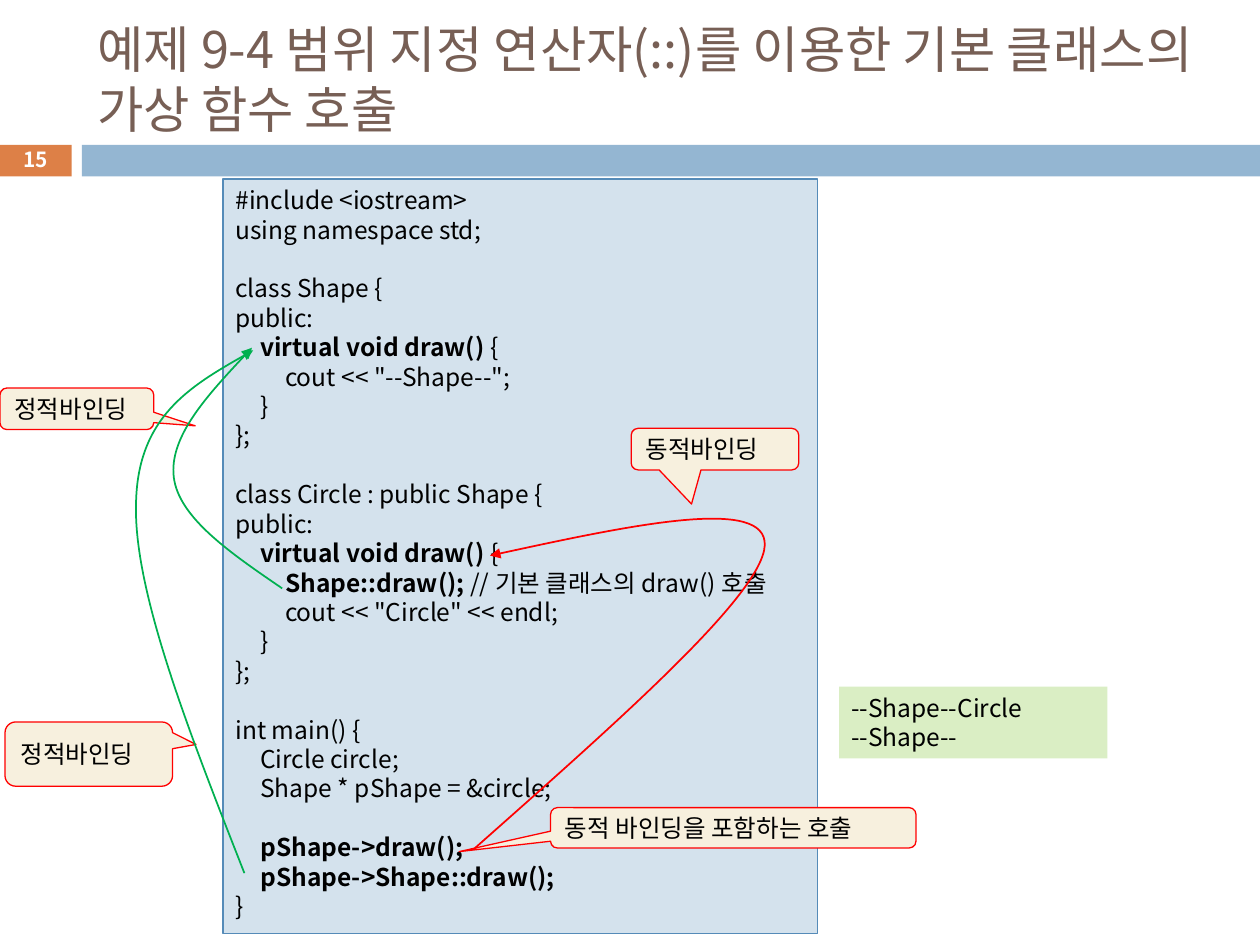
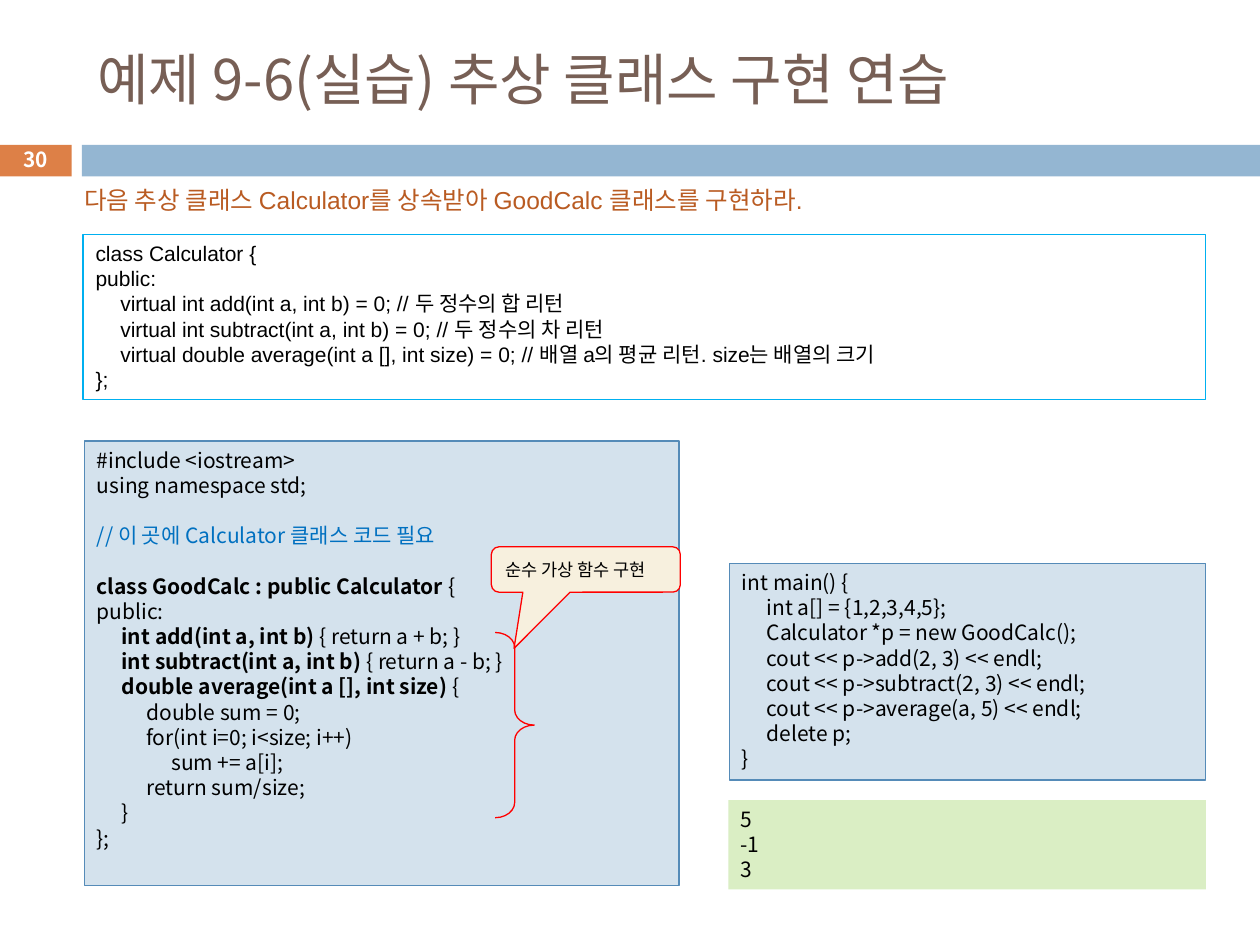
from lxml import etree
from pptx import Presentation
from pptx.dml.color import RGBColor
from pptx.enum.shapes import MSO_SHAPE
from pptx.enum.text import MSO_ANCHOR, MSO_AUTO_SIZE, PP_ALIGN
from pptx.oxml.ns import qn
from pptx.util import Cm, Inches, Pt

RECT = MSO_SHAPE.RECTANGLE
CALLOUT = MSO_SHAPE.ROUNDED_RECTANGULAR_CALLOUT
BRACE = MSO_SHAPE.RIGHT_BRACE
TOP, MIDDLE = MSO_ANCHOR.TOP, MSO_ANCHOR.MIDDLE
LEFT, CENTER = PP_ALIGN.LEFT, PP_ALIGN.CENTER


class Theme:
    font, latin = "Noto Sans CJK KR", "Arial"
    black, white, title = "000000", "FFFFFF", "775F55"
    orange, band, task = "DD8047", "94B6D2", "B95B22"
    code, code_line, output = "D4E2ED", "558BB8", "DAEEC4"
    note, red, green = "F7F0DE", "FF0000", "00B050"
    cyan, blue = "00B0F0", "0070C0"
    body, small, tiny, number = 14, 12, 10, 11.9
    line_height = 1.2
    tab = Cm(0.5)


prs = Presentation()
prs.slide_width, prs.slide_height = Inches(10), Inches(7.5)
COL, ROW = prs.slide_width / 100, prs.slide_height / 75
layout = prs.slide_layouts[5]


def write(tf, text, size, color=Theme.black, font=Theme.font, anchor=TOP, align=LEFT):
    tf.word_wrap = True
    tf.auto_size = MSO_AUTO_SIZE.NONE
    tf.vertical_anchor = anchor
    for i, line in enumerate(text.split("\n")):
        p = tf.add_paragraph() if i else tf.paragraphs[0]
        tabs = etree.SubElement(p._p.get_or_add_pPr(), qn("a:tabLst"))
        for stop in range(1, 4):
            etree.SubElement(tabs, qn("a:tab"), pos=str(stop * Theme.tab), algn="l")
        p.alignment = align
        p.line_spacing = Pt(size * Theme.line_height)
        if not line:
            etree.SubElement(p._p, qn("a:endParaRPr"), sz=str(size * 100))
            continue
        for j, part in enumerate(line.split("**")):
            if part:
                r = p.add_run()
                r.text = part
                r.font.size = Pt(size)
                r.font.bold = j % 2 == 1
                r.font.name = font
                r.font.color.rgb = RGBColor.from_string(color)
                etree.SubElement(r._r.get_or_add_rPr(), qn("a:ea"), typeface=Theme.font)


def box(s, kind, at, fill=None, line=None, adj=()):
    x, y, w, h = at
    sp = s.shapes.add_shape(kind, int(x * COL), int(y * ROW), int(w * COL), int(h * ROW))
    sp.shadow.inherit = False
    for i, value in enumerate(adj):
        sp.adjustments[i] = value
    if fill:
        sp.fill.solid()
        sp.fill.fore_color.rgb = RGBColor.from_string(fill)
    else:
        sp.fill.background()
    if line:
        sp.line.color.rgb = RGBColor.from_string(line)
        sp.line.width = Pt(0.75)
    else:
        sp.line.fill.background()
    return sp


slides = []
for title, size, number in (
    ("예제 9-4 범위 지정 연산자(::)를 이용한 기본 클래스의 가상 함수 호출", 28.8, "15"),
    ("예제 9-6(실습) 추상 클래스 구현 연습", 32, "30"),
):
    s = prs.slides.add_slide(layout)
    sp = s.shapes.title
    sp.left, sp.top = int(6.7 * COL), int(2.5 * ROW)
    sp.width, sp.height = int(89.2 * COL), int(7.4 * ROW)
    write(sp.text_frame, title, size, Theme.title, anchor=MIDDLE)
    sp = box(s, RECT, (0, 11.3, 5.7, 2.7))
    write(sp.text_frame, f"**{number}**", Theme.number, Theme.white, anchor=MIDDLE, align=CENTER)
    slides.append(s)
binding, calculator = slides

for at, color in (((0, 11.5, 5.7, 2.5), Theme.orange), ((6.5, 11.5, 93.5, 2.5), Theme.band)):
    layout.shapes.element.append(box(binding, RECT, at, color).element)

binding_code = """#include <iostream>
using namespace std;

class Shape {
public:
\t**virtual void draw() **{
\t\tcout << "--Shape--";
\t}
};

class Circle : public Shape {
public:
\t**virtual void draw() **{
\t\t**Shape::draw(); **// 기본 클래스의 draw() 호출
\t\tcout << "Circle" << endl;
\t}
};

int main() {
\tCircle circle;
\tShape * pShape = &circle;

\t**pShape->draw();**
\t**pShape->Shape::draw();**
}"""

good_calc_code = """#include <iostream>
using namespace std;

// 이 곳에 Calculator 클래스 코드 필요

**class GoodCalc : public Calculator **{
public:
\t**int add(int a, int b) **{ return a + b; }
\t**int subtract(int a, int b) **{ return a - b; }
\t**double average(int a [], int size) **{
\t\tdouble sum = 0;
\t\tfor(int i=0; i<size; i++)
\t\t\tsum += a[i];
\t\treturn sum/size;
\t}
};"""

main_code = """int main() {
\tint a[] = {1,2,3,4,5};
\tCalculator *p = new GoodCalc();
\tcout << p->add(2, 3) << endl;
\tcout << p->subtract(2, 3) << endl;
\tcout << p->average(a, 5) << endl;
\tdelete p;
}"""

abstract_code = """class Calculator {
public:
\tvirtual int add(int a, int b) = 0; // 두 정수의 합 리턴
\tvirtual int subtract(int a, int b) = 0; // 두 정수의 차 리턴
\tvirtual double average(int a [], int size) = 0; // 배열 a의 평균 리턴. size는 배열의 크기
};"""

task = "다음 추상 클래스 Calculator를 상속받아 GoodCalc 클래스를 구현하라."

panels = {}
for name, s, at, fill, line, text, size, color, font in (
    ("binding", binding, (17.7, 14.2, 47.2, 59.9), Theme.code, Theme.code_line,
     binding_code, Theme.body, Theme.black, Theme.font),
    ("binding output", binding, (66.6, 54.5, 21.3, 5.7), Theme.output, None,
     "--Shape--Circle\n--Shape--", Theme.body, Theme.black, Theme.font),
    ("good calc", calculator, (6.7, 35, 47.2, 35.3), Theme.code, Theme.code_line,
     good_calc_code, Theme.small, Theme.black, Theme.font),
    ("main", calculator, (57.9, 44.7, 37.8, 17.2), Theme.code, Theme.code_line,
     main_code, Theme.small, Theme.black, Theme.font),
    ("calculator output", calculator, (57.8, 63.5, 37.9, 7.1), Theme.output, None,
     "5\n-1\n3", Theme.small, Theme.black, Theme.font),
    ("abstract", calculator, (6.6, 18.6, 89.1, 13.1), None, Theme.cyan,
     abstract_code, Theme.small, Theme.black, Theme.latin),
    ("task", calculator, (5.7, 14.2, 64, 3.4), None, None,
     task, Theme.body, Theme.task, Theme.latin),
):
    panels[name] = box(s, RECT, at, fill, line)
    write(panels[name].text_frame, text, size, color, font)

todo = panels["good calc"].text_frame.paragraphs[3].runs[0]
todo.font.color.rgb = RGBColor.from_string(Theme.blue)

for s, at, pointer, text, size in (
    (binding, (50.1, 34, 13.3, 3.3), (-0.14, 1.32), "동적바인딩", Theme.body),
    (binding, (43.7, 64.1, 29, 3.2), (-0.75, 0.59), "동적 바인딩을 포함하는 호출", Theme.body),
    (binding, (0.4, 57.3, 13.3, 5.1), (0.64, -0.15), "정적바인딩", Theme.body),
    (binding, (0, 30.8, 12.2, 3.3), (0.77, 0.41), "정적바인딩", Theme.body),
    (calculator, (39, 43.4, 15, 3.6), (-0.38, 1.74), "순수 가상 함수 구현", Theme.tiny),
):
    sp = box(s, CALLOUT, at, Theme.note, Theme.red, pointer)
    write(sp.text_frame, text, size, anchor=MIDDLE)

box(calculator, BRACE, (39.3, 50.2, 3.1, 14.7), None, Theme.red, (0.39, 0.5))

for color, points in (
    (Theme.green, ((22.4, 46.7), (18.3, 43.9), (14.2, 41.1), (13.8, 37.9),
                   (13.4, 34.7), (16.7, 31.1), (20, 27.6))),
    (Theme.green, ((19.4, 69.3), (15, 58.1), (10.6, 46.9), (10.8, 40),
                   (10.9, 33.1), (15.5, 30.4), (20.1, 27.8))),
    (Theme.red, ((37.6, 67.4), (49, 57.3), (60.5, 47.2), (60.7, 43.3),
                 (60.9, 39.4), (49.9, 41.7), (38.9, 44.1))),
):
    start, *rest = [(int(x * COL), int(y * ROW)) for x, y in points]
    builder = binding.shapes.build_freeform(*start)
    builder.add_line_segments(rest, close=False)
    sp = builder.convert_to_shape()
    sp.shadow.inherit = False
    sp.fill.background()
    sp.line.color.rgb = RGBColor.from_string(color)
    sp.line.width = Pt(1)
    etree.SubElement(sp.line._get_or_add_ln(), qn("a:tailEnd"), type="triangle")
    outline = next(sp.element.iter(qn("a:path")))
    segments = outline.findall(qn("a:lnTo"))
    for i in range(0, len(segments), 3):
        curve = etree.SubElement(outline, qn("a:cubicBezTo"))
        for segment in segments[i:i + 3]:
            curve.append(segment[0])
            outline.remove(segment)

prs.save("out.pptx")
